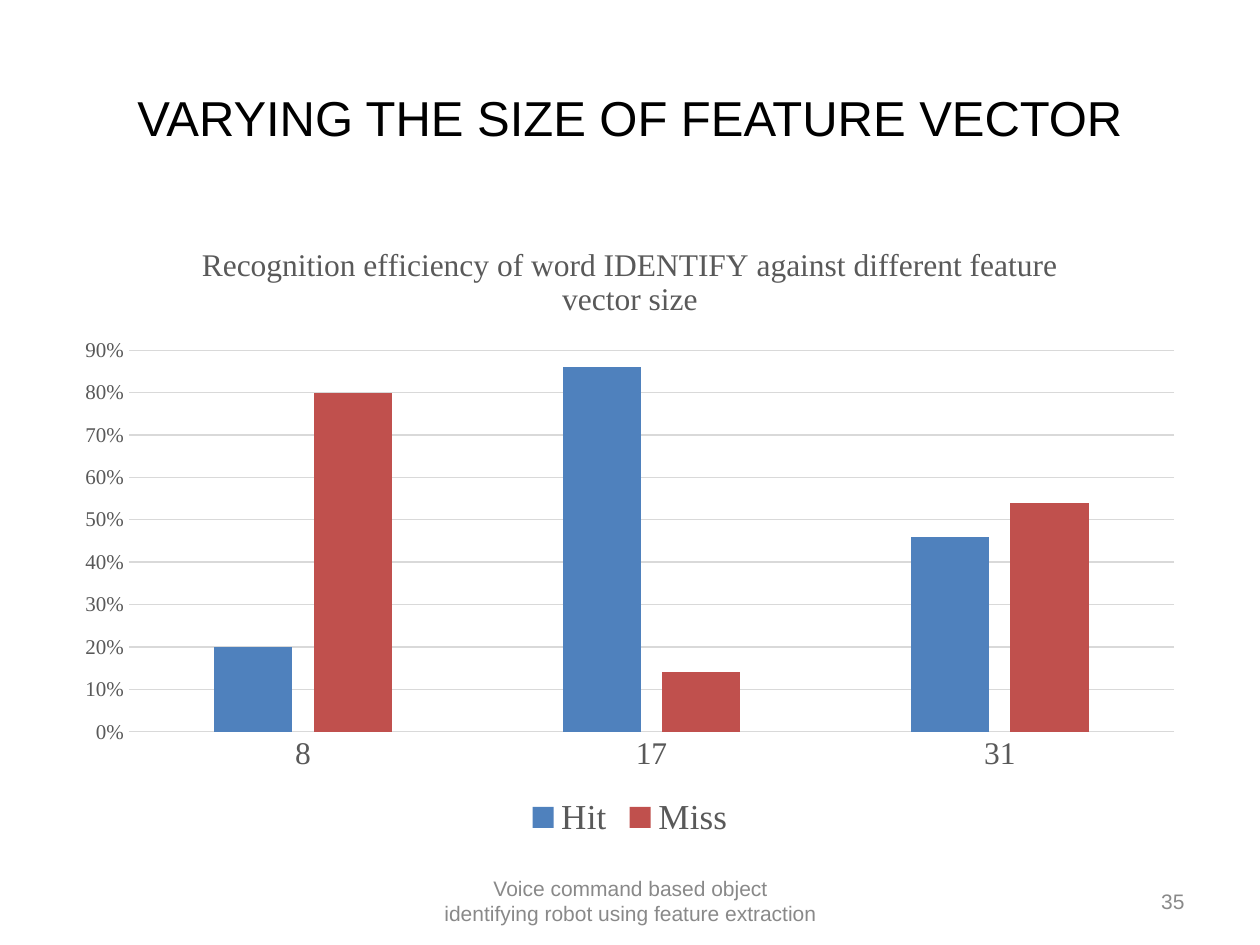
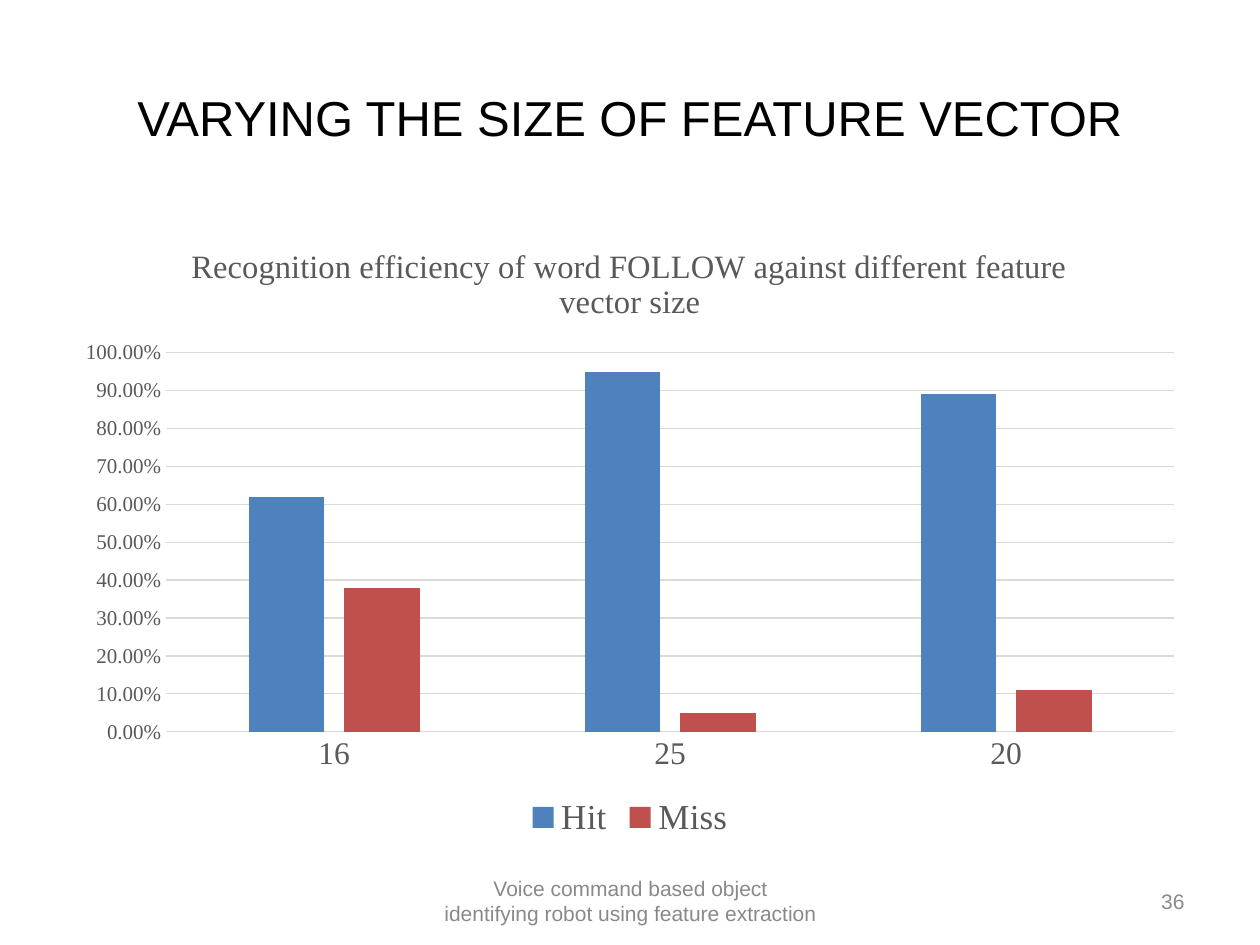
import pptx
import pptx.chart.data
import pptx.dml.color
import pptx.enum.chart
import pptx.enum.text
import pptx.oxml
import pptx.oxml.ns
import pptx.util

Inches = pptx.util.Inches
Pt = pptx.util.Pt
ALIGN = pptx.enum.text.PP_ALIGN
CHART = pptx.enum.chart

# Shared style
BLACK, DARK_GREY, FOOTER_GREY, GRID_GREY = "000000", "595959", "898989", "D9D9D9"
SERIES_COLOURS = {"Hit": "4F81BD", "Miss": "C0504D"}
SANS, SERIF = "Arial", "Times New Roman"
TITLE = "VARYING THE SIZE OF FEATURE VECTOR"
FOOTER = "Voice command based object identifying robot using feature extraction"
FIRST_PAGE = 35

# Plot area edges, as fractions of the chart frame
PLOT_RIGHT, PLOT_BOTTOM = 0.98, 0.82

EFFICIENCY_CHARTS = [
    {"word": "IDENTIFY", "title_size": 18, "sizes": ["8", "17", "31"],
     "Hit": [0.2, 0.86, 0.46], "Miss": [0.8, 0.14, 0.54],
     "maximum": 0.9, "number_format": "0%", "plot_left": 0.058, "plot_top": 0.208},
    {"word": "FOLLOW", "title_size": 18.6, "sizes": ["16", "25", "20"],
     "Hit": [0.62, 0.95, 0.89], "Miss": [0.38, 0.05, 0.11],
     "maximum": 1.0, "number_format": "0.00%", "plot_left": 0.091, "plot_top": 0.212},
]


def colour(hex_string):
    return pptx.dml.color.RGBColor.from_string(hex_string)


def apply(target, values):
    for name, value in values.items():
        setattr(target, name, value)


def style_font(font, name, size, hex_string):
    apply(font, {"name": name, "size": Pt(size), "bold": False})
    font.color.rgb = colour(hex_string)


def style_line(line, hex_string):
    line.color.rgb = colour(hex_string)
    line.width = Pt(0.75)


def add_text(slide, box, text, size, hex_string, alignment):
    shape = slide.shapes.add_textbox(*map(Inches, box))
    frame = shape.text_frame
    apply(frame, {"word_wrap": True,
                  "vertical_anchor": pptx.enum.text.MSO_ANCHOR.MIDDLE})
    paragraph = frame.paragraphs[0]
    paragraph.alignment = alignment
    run = paragraph.add_run()
    run.text = text
    style_font(run.font, SANS, size, hex_string)


def add_frame(slide, page):
    """Title, page number and footer."""
    add_text(slide, (0.5, 0.3, 9, 1.25), TITLE, 28, BLACK, ALIGN.CENTER)
    add_text(slide, (7.17, 6.95, 2.33, 0.4), str(page), 12, FOOTER_GREY, ALIGN.RIGHT)
    add_text(slide, (3.42, 6.95, 3.17, 0.4), FOOTER, 12, FOOTER_GREY, ALIGN.CENTER)


def place_plot(chart, left, top):
    """Fix the inner plot area inside the chart frame."""
    plot_area = chart.plots[0]._element.getparent()
    for old_layout in plot_area.findall(pptx.oxml.ns.qn("c:layout")):
        plot_area.remove(old_layout)
    edges = {"x": left, "y": top, "w": PLOT_RIGHT - left, "h": PLOT_BOTTOM - top}
    settings = '<c:layoutTarget val="inner"/><c:xMode val="edge"/><c:yMode val="edge"/>'
    settings += "".join(f'<c:{key} val="{value:.3f}"/>' for key, value in edges.items())
    plot_area.insert(0, pptx.oxml.parse_xml(
        f'<c:layout {pptx.oxml.ns.nsdecls("c")}>'
        f"<c:manualLayout>{settings}</c:manualLayout></c:layout>"))


def style_axes(chart, maximum, number_format):
    no_ticks = {"major_tick_mark": CHART.XL_TICK_MARK.NONE,
                "minor_tick_mark": CHART.XL_TICK_MARK.NONE}
    for axis, size in ((chart.category_axis, 18), (chart.value_axis, 12)):
        apply(axis, no_ticks)
        style_font(axis.tick_labels.font, SERIF, size, DARK_GREY)
    style_line(chart.category_axis.format.line, GRID_GREY)
    value_axis = chart.value_axis
    apply(value_axis, {"minimum_scale": 0, "maximum_scale": maximum,
                       "major_unit": 0.1, "has_major_gridlines": True})
    apply(value_axis.tick_labels, {"number_format": number_format,
                                   "number_format_is_linked": False})
    value_axis.format.line.fill.background()
    style_line(value_axis.major_gridlines.format.line, GRID_GREY)


def add_efficiency_chart(slide, content):
    data = pptx.chart.data.CategoryChartData(number_format=content["number_format"])
    data.categories = content["sizes"]
    for name in SERIES_COLOURS:
        data.add_series(name, content[name])
    chart = slide.shapes.add_chart(
        CHART.XL_CHART_TYPE.COLUMN_CLUSTERED,
        *map(Inches, (0.5, 1.75, 9, 4.95)), data).chart
    style_font(chart.font, SERIF, 10, BLACK)

    # Title and legend
    apply(chart, {"has_title": True, "has_legend": True})
    title_paragraph = chart.chart_title.text_frame.paragraphs[0]
    title_run = title_paragraph.add_run()
    title_run.text = (f"Recognition efficiency of word {content['word']} "
                      "against different feature vector size")
    style_font(title_run.font, SERIF, content["title_size"], DARK_GREY)
    apply(chart.legend, {"position": CHART.XL_LEGEND_POSITION.BOTTOM,
                         "include_in_layout": False})
    style_font(chart.legend.font, SERIF, 20, DARK_GREY)

    # Columns and axes
    plot = chart.plots[0]
    apply(plot, {"gap_width": 219, "overlap": -27, "vary_by_categories": False})
    for series in plot.series:
        series.format.fill.solid()
        series.format.fill.fore_color.rgb = colour(SERIES_COLOURS[series.name])
    style_axes(chart, content["maximum"], content["number_format"])
    place_plot(chart, content["plot_left"], content["plot_top"])


def main():
    presentation = pptx.Presentation()
    apply(presentation, {"slide_width": Inches(10), "slide_height": Inches(7.5)})
    for page, content in enumerate(EFFICIENCY_CHARTS, FIRST_PAGE):
        slide = presentation.slides.add_slide(presentation.slide_layouts[6])
        add_frame(slide, page)
        add_efficiency_chart(slide, content)
    presentation.save("out.pptx")


if __name__ == "__main__":
    main()
